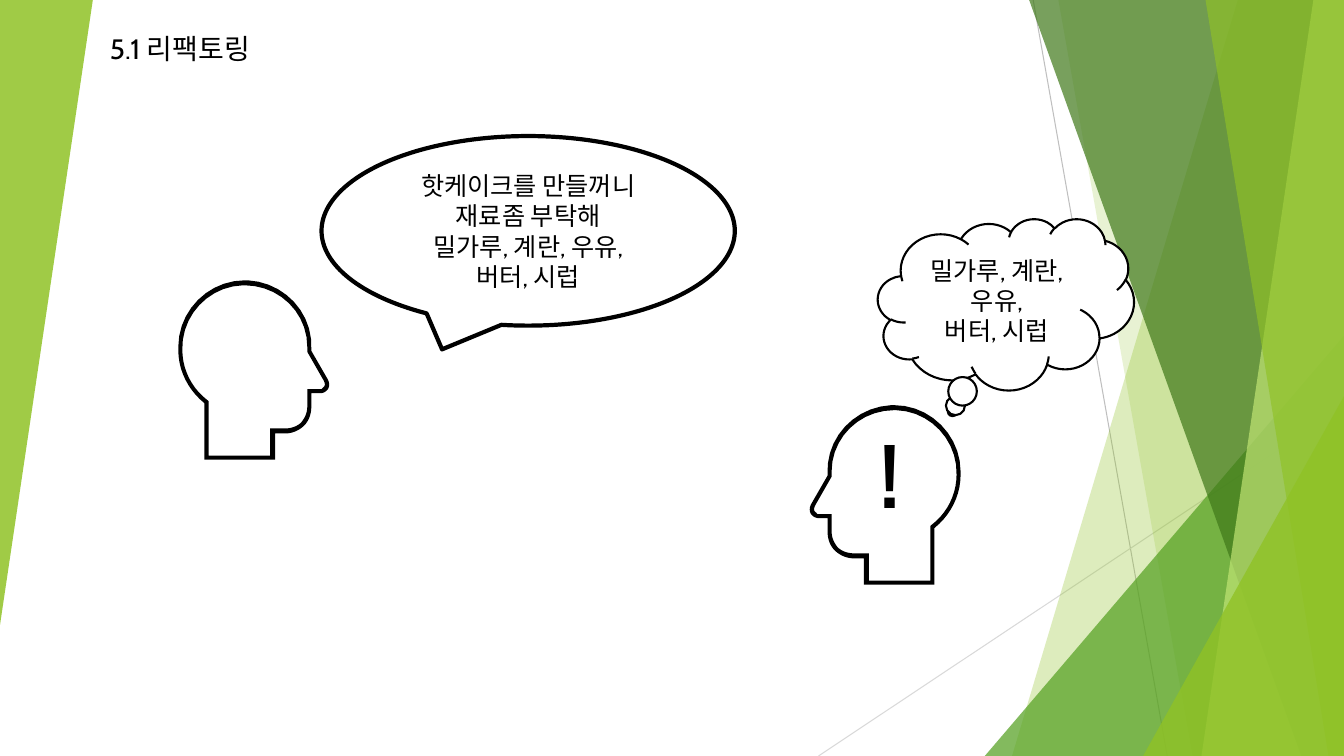
from dataclasses import dataclass

from lxml import etree
from pptx import Presentation
from pptx.dml.color import RGBColor
from pptx.enum import shapes, text
from pptx.oxml import ns
from pptx.util import Pt

WIDTH, HEIGHT = 960, 540
FONT = "Cabin"
BLACK = RGBColor(0x00, 0x00, 0x00)
WHITE = RGBColor(0xFF, 0xFF, 0xFF)
GREEN = RGBColor(0x90, 0xC2, 0x26)
MID_GREEN = RGBColor(0x54, 0xA0, 0x21)
DARK_GREEN = RGBColor(0x3F, 0x78, 0x19)
PALE_GREEN = RGBColor(0xC0, 0xE4, 0x74)
GREY = RGBColor(0xBF, 0xBF, 0xBF)
LIGHT_GREY = RGBColor(0xD9, 0xD9, 0xD9)


@dataclass
class Ray:
    x1: float
    y1: float
    x2: float
    y2: float
    color: RGBColor


@dataclass
class Facet:
    """Full-height band from a slanted edge to the right side of the slide."""
    top_x: float
    bottom_x: float
    color: RGBColor
    opacity: int


@dataclass
class Wedge:
    """Right triangle with its apex over the right corner."""
    left: float
    top: float
    width: float
    height: float
    color: RGBColor
    opacity: int
    rotation: int = 0


@dataclass
class Callout:
    kind: shapes.MSO_SHAPE
    left: float
    top: float
    width: float
    height: float
    line_width: float
    words: str


@dataclass
class Head:
    left: float
    top: float
    faces_left: bool


RAYS = [Ray(738, 0, 833.76, HEIGHT, GREY),
        Ray(WIDTH, 290.16, 584.64, HEIGHT, LIGHT_GREY)]
BACKDROP = [
    Facet(884.16, 722.88, GREEN, 30),
    Facet(756, 851.76, GREEN, 20),
    Wedge(703.44, 239.76, 256.56, 300.24, MID_GREEN, 72),
    Facet(735.12, 929.52, DARK_GREEN, 70),
    Facet(938.16, 858.24, PALE_GREEN, 70),
    Facet(861.12, 948.96, GREEN, 65),
    Wedge(816.48, 282.96, 143.52, 257.04, GREEN, 80),
    Wedge(0, 0, 66.3, 446.4, GREEN, 85, 180),
]
INGREDIENTS = "밀가루, 계란, 우유,\v버터, 시럽"
CALLOUTS = [
    Callout(shapes.MSO_SHAPE.OVAL_CALLOUT, 229.7, 97.2, 295.2, 135.4, 3,
            "핫케이크를 만들꺼니 재료좀 부탁해\n" + INGREDIENTS),
    Callout(shapes.MSO_SHAPE.CLOUD_CALLOUT, 627.1, 156.2, 182.9, 122.4, 1.5,
            INGREDIENTS),
]
HEADS = [Head(127.4, 200.2, False), Head(578.2, 289.4, True)]

# Head profile on a 150-wide grid: pairs are corners, sixes are Bezier curves
HEAD_UNIT, HEAD_GRID = 0.72, 150
INNER = [(66, 5), (100, 5, 128, 32, 128, 66), (128, 71), (144, 99),
         (145, 101, 146, 103, 145, 105), (144, 106, 143, 107, 142, 108),
         (128, 108), (128, 125), (128, 131, 126, 136, 122, 141),
         (118, 145, 112, 147, 106, 147), (91, 147), (91, 174), (30, 174),
         (30, 120), (29, 119), (13, 107, 4, 88, 4, 69),
         (3, 35, 30, 6, 64, 5)]
OUTER = [(66, 0), (30, 0, 0, 30, 0, 66), (0, 69),
         (0, 90, 10, 109, 26, 122), (26, 178), (96, 178), (96, 152),
         (106, 152), (113, 152, 120, 149, 125, 144),
         (130, 139, 132, 132, 132, 125), (132, 112), (142, 112),
         (148, 111, 153, 105, 147, 96), (132, 70), (132, 69),
         (134, 32, 105, 2, 69, 0)]


def paint(sp, color: RGBColor, opacity: int = 100) -> None:
    sp.shadow.inherit = False
    sp.line.fill.background()
    sp.fill.solid()
    sp.fill.fore_color.rgb = color
    if opacity < 100:
        clr = sp.fill._xPr.find(".//" + ns.qn("a:srgbClr"))
        etree.SubElement(clr, ns.qn("a:alpha"), val=str(opacity * 1000))


def write(tf, words: str, size: int, align=text.PP_ALIGN.LEFT,
          bold: bool = False) -> None:
    tf.text = words
    for p in tf.paragraphs:
        p.alignment = align
        p.font.name, p.font.size, p.font.bold = FONT, Pt(size), bold
        p.font.color.rgb = BLACK


def draw_ray(s, ray: Ray) -> None:
    c = s.shapes.add_connector(shapes.MSO_CONNECTOR.STRAIGHT, Pt(ray.x1),
                               Pt(ray.y1), Pt(ray.x2), Pt(ray.y2))
    c.line.color.rgb, c.line.width = ray.color, Pt(0.75)
    etree.SubElement(c._element.spPr, ns.qn("a:effectLst"))


def draw_facet(s, facet: Facet) -> None:
    b = s.shapes.build_freeform(Pt(facet.top_x), 0)
    b.add_line_segments([(Pt(WIDTH), 0), (Pt(WIDTH), Pt(HEIGHT)),
                         (Pt(facet.bottom_x), Pt(HEIGHT))])
    paint(b.convert_to_shape(), facet.color, facet.opacity)


def draw_wedge(s, w: Wedge) -> None:
    sp = s.shapes.add_shape(shapes.MSO_SHAPE.ISOSCELES_TRIANGLE, Pt(w.left),
                            Pt(w.top), Pt(w.width), Pt(w.height))
    sp.adjustments[0] = 1
    sp.rotation = w.rotation
    paint(sp, w.color, w.opacity)


def flatten(contour: list, steps: int = 10) -> list[tuple[float, float]]:
    points = []
    for seg in contour:
        if len(seg) == 2:
            points.append(seg)
            continue
        ctrl = [points[-1], seg[:2], seg[2:4], seg[4:]]
        for t in (i / steps for i in range(1, steps + 1)):
            weights = ((1 - t) ** 3, 3 * t * (1 - t) ** 2,
                       3 * t * t * (1 - t), t ** 3)
            points.append(tuple(sum(w * c[axis] for w, c in zip(weights, ctrl))
                                for axis in (0, 1)))
    return points


def draw_head(s, head: Head) -> None:
    def place(point: tuple[float, float]) -> tuple[int, int]:
        x = HEAD_GRID - point[0] if head.faces_left else point[0]
        return (Pt(head.left + x * HEAD_UNIT),
                Pt(head.top + point[1] * HEAD_UNIT))

    inner, outer = ([place(pt) for pt in flatten(c)] for c in (INNER, OUTER))
    b = s.shapes.build_freeform(*inner[0])
    b.add_line_segments(inner[1:])
    b.move_to(*outer[0])
    b.add_line_segments(outer[1:])
    paint(b.convert_to_shape(), BLACK)


def draw_callout(s, c: Callout) -> None:
    sp = s.shapes.add_shape(c.kind, Pt(c.left), Pt(c.top), Pt(c.width),
                            Pt(c.height))
    paint(sp, WHITE)
    sp.line.color.rgb, sp.line.width = BLACK, Pt(c.line_width)
    sp.text_frame.vertical_anchor = text.MSO_ANCHOR.MIDDLE
    write(sp.text_frame, c.words, 18, text.PP_ALIGN.CENTER)


def main() -> None:
    prs = Presentation()
    prs.slide_width, prs.slide_height = Pt(WIDTH), Pt(HEIGHT)
    s = prs.slides.add_slide(prs.slide_layouts[5])

    # Green backdrop
    for ray in RAYS:
        draw_ray(s, ray)
    for part in BACKDROP:
        if isinstance(part, Facet):
            draw_facet(s, part)
        else:
            draw_wedge(s, part)

    # Title
    title = s.shapes.title
    title.left, title.top = Pt(71.3), Pt(18.7)
    title.width, title.height = Pt(130.3), Pt(31.7)
    title.text_frame.word_wrap = False
    title.text_frame.vertical_anchor = text.MSO_ANCHOR.TOP
    write(title.text_frame, "5.1 리팩토링", 20)

    # Two people and the exclamation mark
    for head in HEADS:
        draw_head(s, head)
    mark = s.shapes.add_textbox(Pt(621.4), Pt(299.5), Pt(36.7), Pt(79.9))
    mark.text_frame.word_wrap = False
    write(mark.text_frame, "!", 60, bold=True)

    # What they say and think
    for callout in CALLOUTS:
        draw_callout(s, callout)

    prs.save("out.pptx")


if __name__ == "__main__":
    main()
